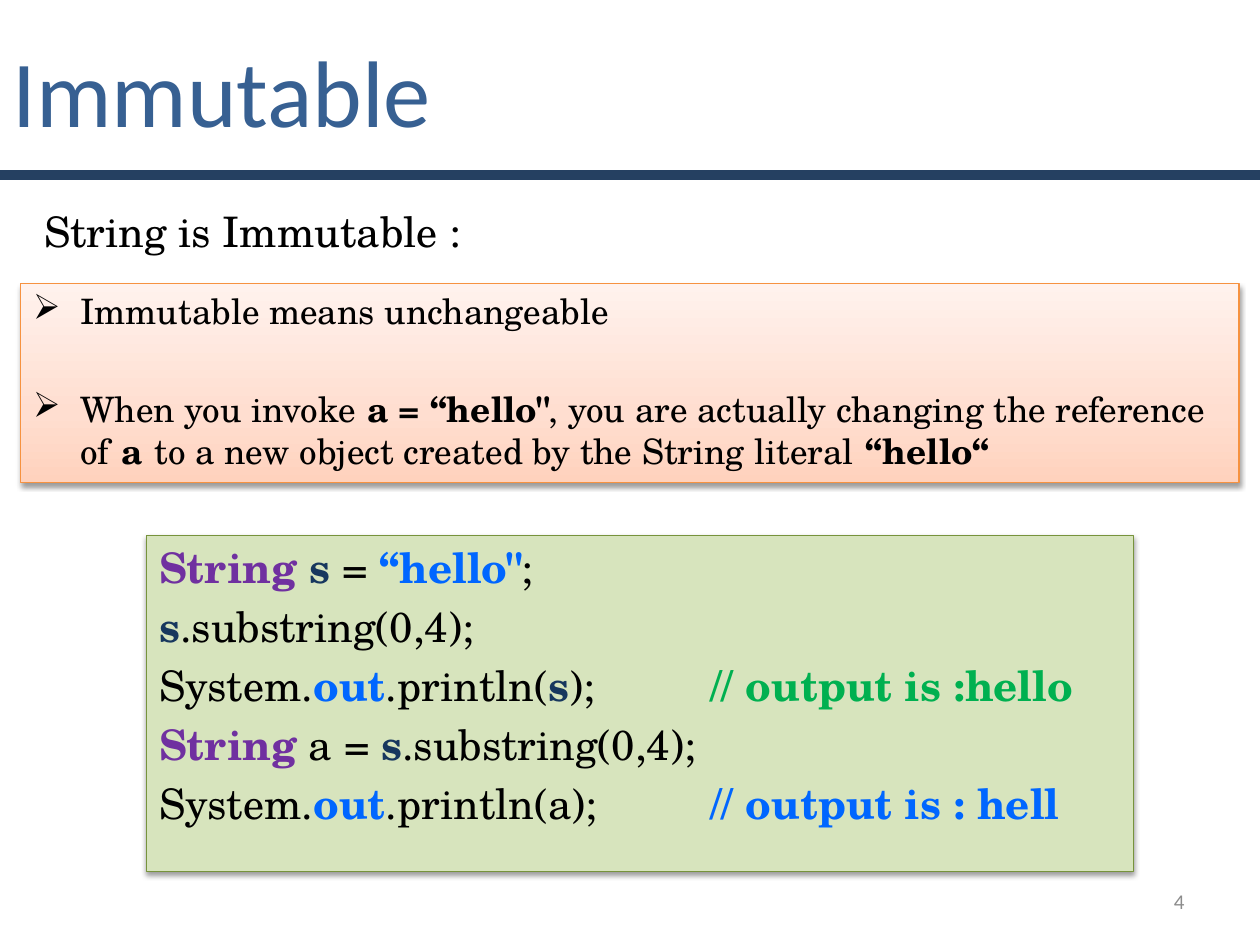
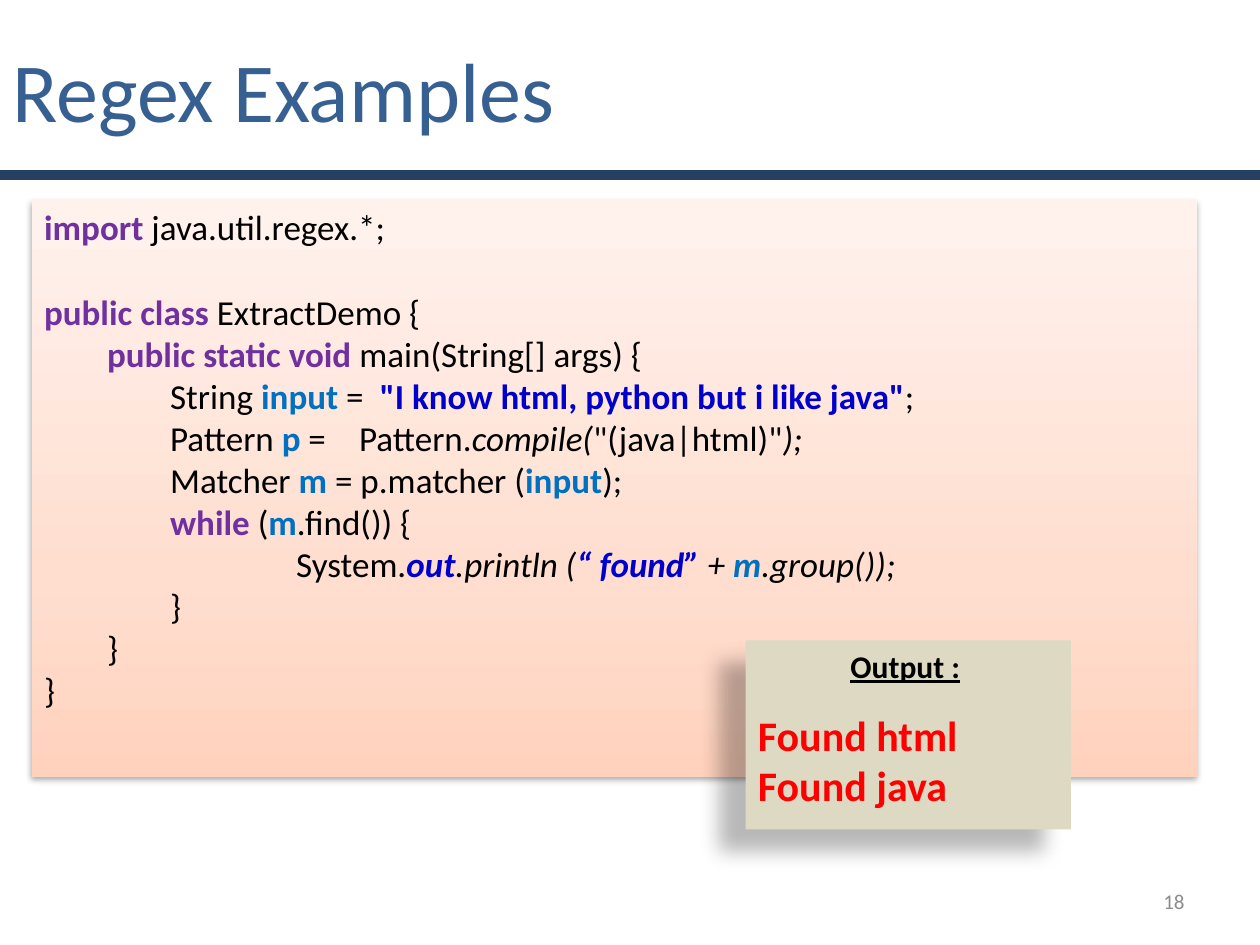
from copy import deepcopy
from dataclasses import dataclass

from lxml.etree import SubElement
from pptx import Presentation
from pptx.dml.color import RGBColor
from pptx.enum.shapes import MSO_SHAPE
from pptx.enum.text import MSO_ANCHOR, MSO_AUTO_SIZE, PP_ALIGN
from pptx.oxml.ns import qn
from pptx.util import Cm, Pt


@dataclass(frozen=True)
class Theme:
    navy: str = "254061"
    title: str = "376092"
    ink: str = "000000"
    keyword: str = "7030A0"
    variable: str = "17375E"
    literal: str = "0066FF"
    comment: str = "00B050"
    name: str = "0070C0"
    string: str = "0000CC"
    result: str = "FF0000"
    number: str = "8C8C8C"
    orange: str = "F69240"
    green: str = "D7E4BD"
    green_edge: str = "77933C"
    tan: str = "DDD9C3"
    peach: tuple = ((0, "FFD2BD"), (0.35, "FFDED0"), (1, "FFF2ED"))
    sans: str = "Calibri"
    school: str = "TeX Gyre Schola"
    long_title_size: int = 48
    short_title_size: int = 54
    code_size: int = 24
    text_size: int = 20
    label_size: int = 18
    number_size: int = 12


theme = Theme()


def add_panel(page, place, fill, edge=None, edge_width=0.75, shadow=None):
    box = page.shapes.add_shape(MSO_SHAPE.RECTANGLE, *map(Cm, place))
    box.shadow.inherit = False
    box.text_frame.word_wrap = True
    box.text_frame.vertical_anchor = MSO_ANCHOR.TOP
    if isinstance(fill, tuple):
        box.fill.gradient()
        box.fill.gradient_angle = 90
        stop_list = box._element.spPr.find(".//" + qn("a:gsLst"))
        stop_list.append(deepcopy(stop_list[-1]))
        for stop, (position, colour) in zip(box.fill.gradient_stops, fill):
            stop.position = position
            stop.color.rgb = RGBColor.from_string(colour)
    else:
        box.fill.solid()
        box.fill.fore_color.rgb = RGBColor.from_string(fill)
    if edge:
        box.line.color.rgb = RGBColor.from_string(edge)
        box.line.width = Pt(edge_width)
    else:
        box.line.fill.background()
    if shadow:
        alpha, blur, distance, angle = shadow
        effects = box._element.spPr.find(qn("a:effectLst"))
        outer = SubElement(effects, qn("a:outerShdw"), blurRad=str(Pt(blur)), dist=str(Pt(distance)),
                           dir=str(angle * 60000), rotWithShape="0")
        colour = SubElement(outer, qn("a:srgbClr"), val="000000")
        SubElement(colour, qn("a:alpha"), val=str(alpha * 1000))
    return box


def write(box, lines, font, size, align=PP_ALIGN.LEFT, before=0, tabs=(), bullet=None):
    frame = box.text_frame
    frame.word_wrap = True
    for index, line in enumerate(lines):
        para = frame.paragraphs[0] if index == 0 else frame.add_paragraph()
        properties = para._p.get_or_add_pPr()
        if bullet:
            properties.set("marL", str(Cm(0.95)))
            properties.set("indent", str(-Cm(0.95)))
            SubElement(properties, qn("a:buFont"), typeface="Wingdings", pitchFamily="2", charset="2")
            SubElement(properties, qn("a:buChar"), char=bullet)
        if tabs:
            tab_list = SubElement(properties, qn("a:tabLst"))
            for tab in tabs:
                SubElement(tab_list, qn("a:tab"), pos=str(Cm(tab)), algn="l")
        para.alignment = align
        para.space_before = Pt(before)
        para.font.name = font
        para.font.size = Pt(size)
        for text, colour, *traits in line:
            span = para.add_run()
            span.text = text
            span.font.color.rgb = RGBColor.from_string(colour)
            span.font.bold = "bold" in traits
            span.font.italic = "italic" in traits
            if "underline" in traits:
                span.font.underline = True


deck = Presentation()
deck.slide_width, deck.slide_height = Cm(25.4), Cm(19.05)
title_only = deck.slide_layouts[5]
pages = []

for heading, heading_size, page_number in (
    ("Immutable", theme.short_title_size, "4"),
    ("Regex Examples", theme.long_title_size, "18"),
):
    page = deck.slides.add_slide(title_only)
    pages.append(page)
    add_panel(page, (0, 3.47, 25.4, 0.13), theme.navy, theme.navy, 2)

    title = page.shapes.title
    title.left, title.top, title.width, title.height = Cm(0), Cm(0), Cm(19.89), Cm(3.6)
    title.text_frame.auto_size = MSO_AUTO_SIZE.NONE
    title.text_frame.vertical_anchor = MSO_ANCHOR.MIDDLE
    write(title, [[(heading, theme.title)]], theme.sans, heading_size)

    number = page.shapes.add_textbox(Cm(18.21), Cm(17.65), Cm(5.92), Cm(1.02))
    number.text_frame.vertical_anchor = MSO_ANCHOR.MIDDLE
    write(number, [[(page_number, theme.number)]], theme.sans, theme.number_size, PP_ALIGN.RIGHT)

immutable_page, regex_page = pages
soft_shadow = (38, 3.1, 1.6, 90)

lead = immutable_page.shapes.add_textbox(Cm(0.64), Cm(4.01), Cm(24.56), Cm(1.07))
write(lead, [[("String is Immutable :", theme.ink)]], theme.school, theme.code_size, before=4.8)

facts = add_panel(immutable_page, (0.42, 5.72, 24.56, 4.01), theme.peach, theme.orange, shadow=soft_shadow)
write(facts, [
    [("Immutable means unchangeable", theme.ink)],
    [("When you invoke\u00a0", theme.ink), ("a = “hello\"", theme.ink, "bold"),
     (", you are actually changing the reference of\u00a0", theme.ink), ("a", theme.ink, "bold"),
     ("\u00a0to a new object created by the String literal\u00a0", theme.ink),
     ("“hello“", theme.ink, "bold")],
], theme.school, theme.text_size, before=4, bullet="Ø")
facts.text_frame.paragraphs[1].space_before = Pt(32)

sample = add_panel(immutable_page, (2.96, 10.8, 19.89, 6.77), theme.green, theme.green_edge, shadow=soft_shadow)
write(sample, [
    [("String ", theme.keyword, "bold"), ("s", theme.variable, "bold"), (" = ", theme.ink),
     ("“hello\"", theme.literal, "bold"), (";", theme.ink)],
    [("s", theme.variable, "bold"), (".substring(0,4);", theme.ink)],
    [("System.", theme.ink), ("out", theme.literal, "bold"), (".println(", theme.ink),
     ("s", theme.variable, "bold"), (");\t", theme.ink), ("// output is :hello", theme.comment, "bold")],
    [("String", theme.keyword, "bold"), (" a = ", theme.ink), ("s", theme.variable, "bold"),
     (".substring(0,4);", theme.ink)],
    [("System.", theme.ink), ("out", theme.literal, "bold"), (".println(a);\t", theme.ink),
     ("// output is : hell", theme.literal, "bold")],
], theme.school, theme.code_size, before=4.8, tabs=(11.11,))

program = add_panel(regex_page, (0.64, 4.02, 23.5, 11.64), theme.peach, shadow=(32, 3.5, 2.2, 90))
write(program, [
    [("import", theme.keyword, "bold"), (" java.util.regex.*;", theme.ink)],
    [("public class", theme.keyword, "bold"), (" ExtractDemo {", theme.ink)],
    [("\tpublic static void", theme.keyword, "bold"), (" main(String[] args) {", theme.ink)],
    [("\t\tString ", theme.ink), ("input", theme.name, "bold"), (" =  ", theme.ink),
     ("\"I know html, python but i like java\"", theme.string, "bold"), (";", theme.ink)],
    [("\t\tPattern ", theme.ink), ("p", theme.name, "bold"), (" =\tPattern.", theme.ink),
     ("compile(", theme.ink, "italic"), ("\"(java|html)\"", theme.ink), (");", theme.ink, "italic")],
    [("\t\tMatcher ", theme.ink), ("m", theme.name, "bold"), (" = p.matcher (", theme.ink),
     ("input", theme.name, "bold"), (");", theme.ink)],
    [("\t\twhile", theme.keyword, "bold"), (" (", theme.ink), ("m", theme.name, "bold"),
     (".find()) {", theme.ink)],
    [("\t\t\t\tSystem.", theme.ink), ("out", theme.string, "bold", "italic"),
     (".println (", theme.ink, "italic"), ("“ found”", theme.string, "bold", "italic"),
     (" + ", theme.ink, "italic"), ("m", theme.name, "bold", "italic"),
     (".group());", theme.ink, "italic")],
    [("\t\t}", theme.ink)],
    [("\t}", theme.ink)],
    [("}", theme.ink)],
], theme.sans, theme.text_size, tabs=[1.27 * step for step in range(1, 6)])
program.text_frame.paragraphs[1].space_before = Pt(24.4)

add_panel(regex_page, (15.03, 12.91, 6.56, 3.81), theme.tan, shadow=(28, 11.8, 19.7, 141))
label = regex_page.shapes.add_textbox(Cm(14.82), Cm(12.91), Cm(6.86), Cm(1.8))
write(label, [[("Output :", theme.ink, "bold", "underline")]], theme.sans, theme.label_size, PP_ALIGN.CENTER)
result = regex_page.shapes.add_textbox(Cm(15.03), Cm(14.18), Cm(6.56), Cm(2.31))
write(result, [[(text, theme.result, "bold")] for text in ("Found html", "Found java")],
      theme.sans, theme.code_size)

deck.save("out.pptx")
